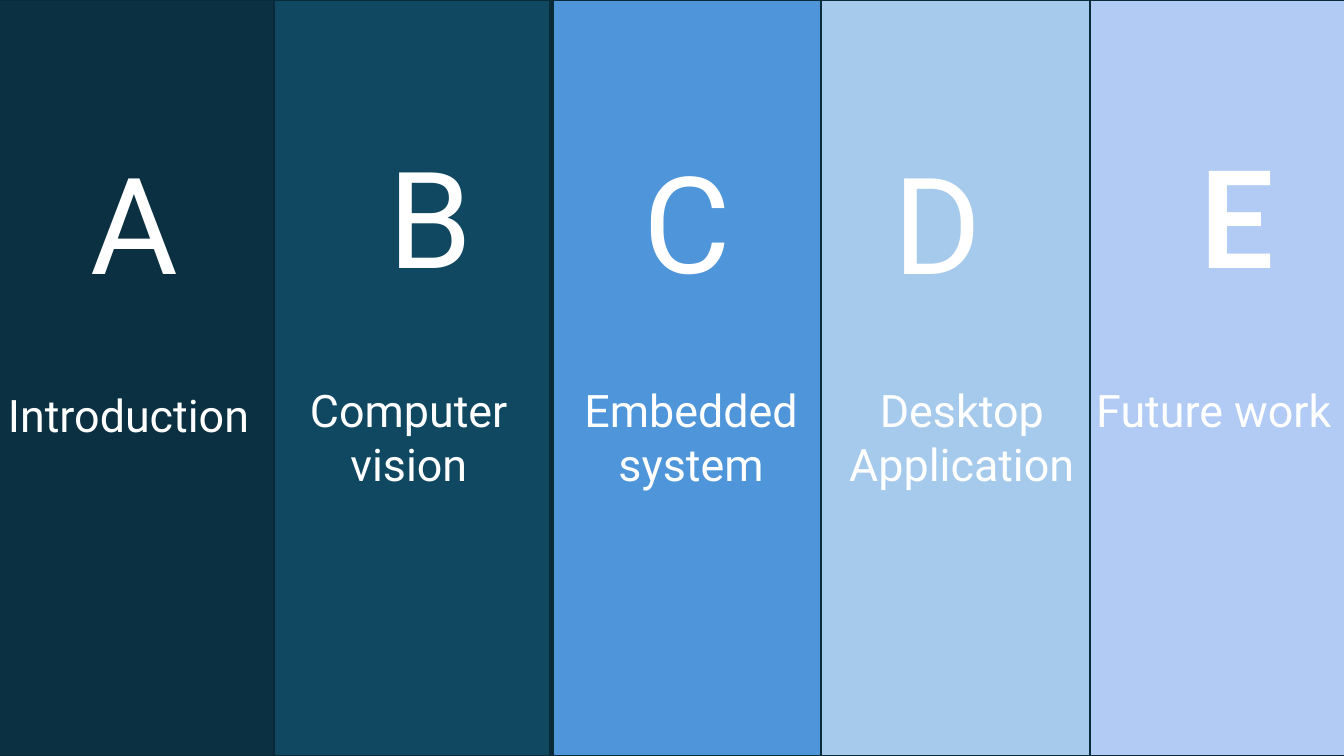
from dataclasses import dataclass

from pptx import Presentation
from pptx.dml.color import RGBColor
from pptx.enum.shapes import MSO_SHAPE
from pptx.enum.text import MSO_AUTO_SIZE, PP_ALIGN
from pptx.util import Inches, Pt

RECTANGLE = MSO_SHAPE.RECTANGLE
GROW = MSO_AUTO_SIZE.SHAPE_TO_FIT_TEXT
LEFT, CENTER = PP_ALIGN.LEFT, PP_ALIGN.CENTER

WHITE = RGBColor(0xFF, 0xFF, 0xFF)
OUTLINE = RGBColor(0x09, 0x2A, 0x39)
NAVY = RGBColor(0x0B, 0x30, 0x41)
TEAL = RGBColor(0x10, 0x48, 0x62)
BLUE = RGBColor(0x4E, 0x95, 0xD9)
SKY = RGBColor(0xA6, 0xCA, 0xEC)
LAVENDER = RGBColor(0xB1, 0xCB, 0xF5)

SLIDE_WIDTH, SLIDE_HEIGHT = 13.33, 7.5
PANEL_WIDTH = 2.74
LETTER_WIDTH, LETTER_HEIGHT = 1.48, 1.72
LETTER_FORMAT = {"name": "Roboto", "size": Pt(96), "bold": False}
BOLD_LETTER_FORMAT = {"name": "Lato", "size": Pt(96), "bold": True}
LABEL_FORMAT = {"name": "Roboto", "size": Pt(32), "bold": False}


@dataclass
class Section:
    """One agenda panel; boxes are (left, top) and (left, top, width, height)."""
    letter: str
    label: str
    fill: RGBColor
    panel_left: float
    letter_at: tuple
    label_box: tuple
    label_align: PP_ALIGN = CENTER
    letter_format: dict = None


SECTIONS = [
    Section("A", "Introduction", NAVY, -0.02, (0.8, 1.34),
            (-0.02, 3.8, 2.92, 0.64), label_align=LEFT),
    Section("B", "Computer vision", TEAL, 2.72, (3.75, 1.28),
            (2.88, 3.75, 2.35, 1.18)),
    Section("C", "Embedded system", BLUE, 5.48, (6.28, 1.33),
            (5.59, 3.75, 2.53, 1.18)),
    Section("D", "Desktop Application", SKY, 8.14, (8.76, 1.34),
            (8.25, 3.75, 2.58, 1.18)),
    Section("E", "Future work", LAVENDER, 10.81, (11.79, 1.28),
            (10.69, 3.75, 2.7, 1.18), letter_format=BOLD_LETTER_FORMAT),
]


class AgendaSlide:
    def __init__(self, slide):
        self.slide = slide
        self.text_color = WHITE
        self.line_color = OUTLINE
        self.line_width = Pt(1.5)

    def panel(self, group, left, fill):
        panel = group.shapes.add_shape(
            RECTANGLE, Inches(left), Inches(0),
            Inches(PANEL_WIDTH), Inches(SLIDE_HEIGHT))
        panel.shadow.inherit = False
        panel.fill.solid()
        panel.fill.fore_color.rgb = fill
        panel.line.color.rgb = self.line_color
        panel.line.width = self.line_width

    def text(self, group, box, wording, font_format, align):
        frame = group.shapes.add_textbox(*map(Inches, box)).text_frame
        frame.word_wrap = True
        frame.auto_size = GROW
        paragraph = frame.paragraphs[0]
        paragraph.alignment = align
        run = paragraph.add_run()
        run.text = wording
        for attribute, value in font_format.items():
            setattr(run.font, attribute, value)
        run.font.color.rgb = self.text_color

    def section(self, section):
        group = self.slide.shapes.add_group_shape()
        self.panel(group, section.panel_left, section.fill)
        self.text(group, (*section.letter_at, LETTER_WIDTH, LETTER_HEIGHT),
                  section.letter, section.letter_format or LETTER_FORMAT, LEFT)
        self.text(group, section.label_box, section.label,
                  LABEL_FORMAT, section.label_align)


def main():
    presentation = Presentation()
    presentation.slide_width = Inches(SLIDE_WIDTH)
    presentation.slide_height = Inches(SLIDE_HEIGHT)
    blank_layout = presentation.slide_layouts[6]
    agenda = AgendaSlide(presentation.slides.add_slide(blank_layout))
    for section in SECTIONS:
        agenda.section(section)
    presentation.save("out.pptx")


if __name__ == "__main__":
    main()
